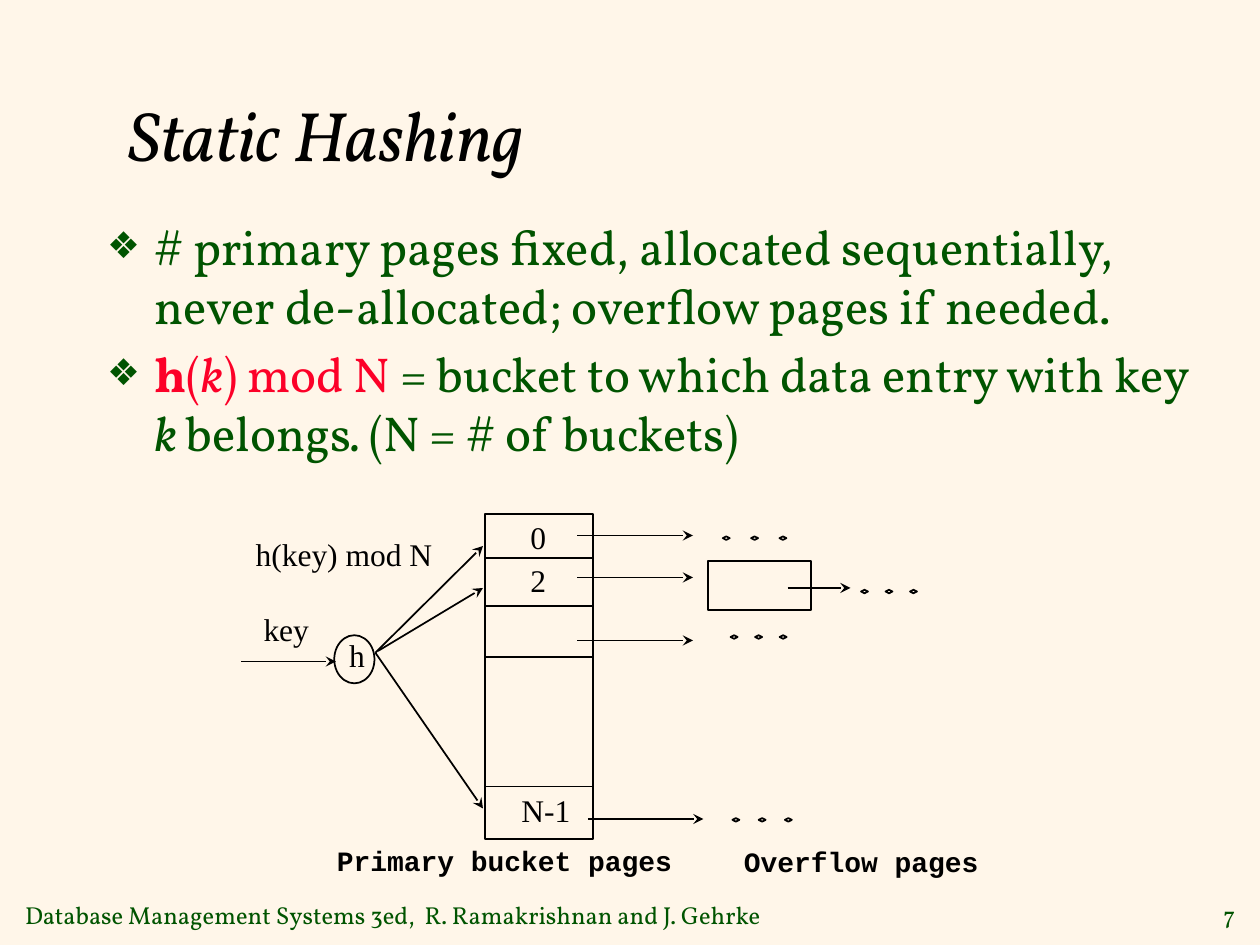
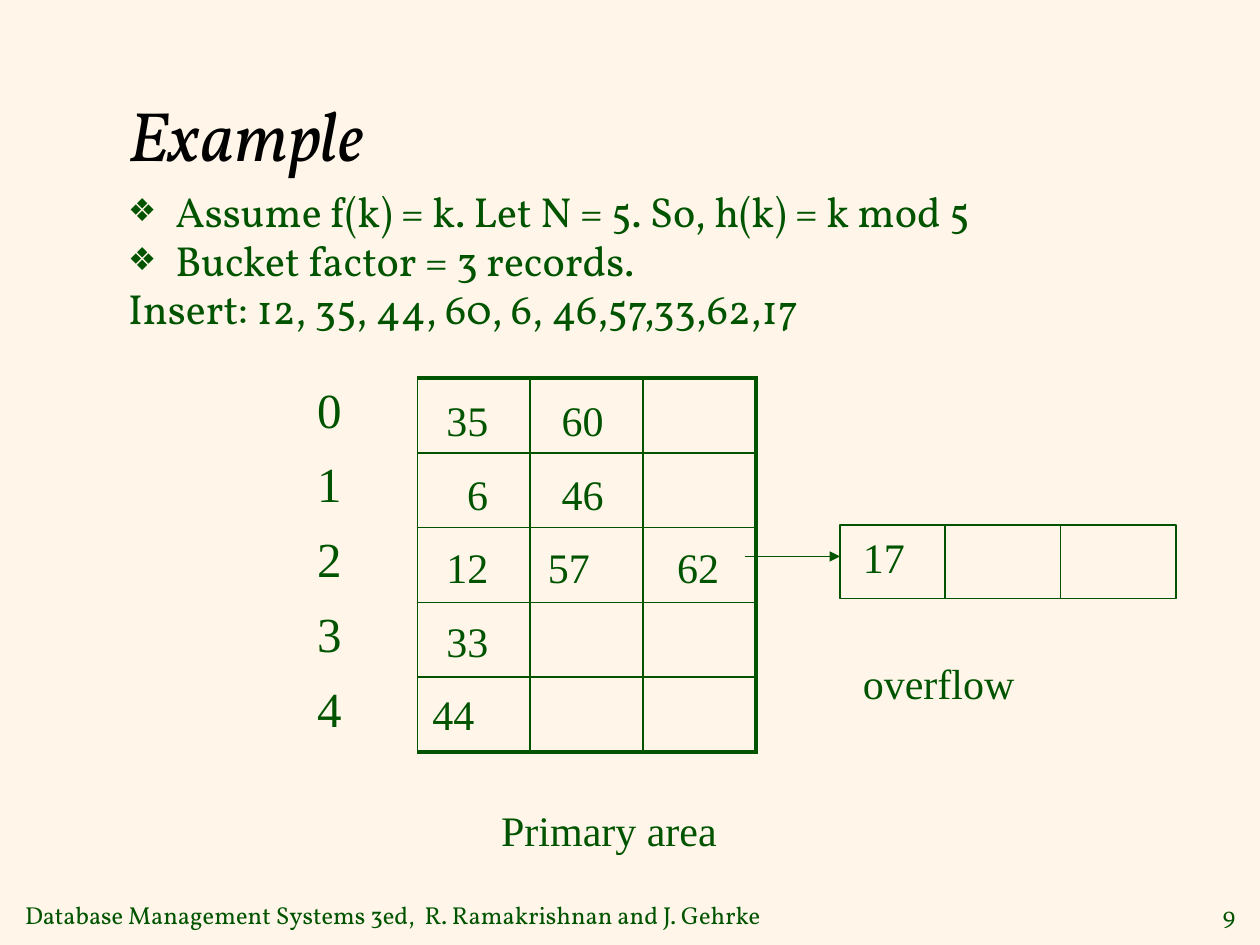
from lxml.etree import SubElement
from pptx import Presentation
from pptx.dml.color import RGBColor
from pptx.enum.shapes import MSO_CONNECTOR, MSO_SHAPE
from pptx.enum.text import MSO_ANCHOR, MSO_AUTO_SIZE, PP_ALIGN
from pptx.oxml.ns import qn
from pptx.util import Pt

COLORS = {"cream": "FFF6E9", "green": "005400", "red": "FC0128", "black": "000000"}
SERIF, DIAGRAM, MONO = "Vollkorn", "Times New Roman", "Courier New"
FOOTER = "Database Management Systems 3ed,  R. Ramakrishnan and J. Gehrke"
PLAIN_TABLE = "{2D5ABB26-0587-4C30-8999-92F81FD0307C}"

TITLE = {"name": SERIF, "size": Pt(40), "italic": True, "color": "black"}
FOOTER_FONT = {"name": SERIF, "size": Pt(14), "color": "green"}
NODE = {"name": DIAGRAM, "size": Pt(18), "color": "black"}
CAPTION = {"name": MONO, "size": Pt(16), "bold": True, "color": "black"}
RECORD = {"name": DIAGRAM, "size": Pt(24), "color": "green"}
BUCKET_NUMBER = {**RECORD, "size": Pt(28)}


def rgb(color):
    return RGBColor.from_string(COLORS[color])


def apply_font(font, values):
    for name, value in values.items():
        if name == "color":
            font.color.rgb = rgb(value)
        else:
            setattr(font, name, value)


def box(left, top, width, height):
    return Pt(left), Pt(top), Pt(width), Pt(height)


def place(shape, bounds):
    for name, value in zip(("left", "top", "width", "height"), box(*bounds)):
        setattr(shape, name, value)


def add_run(paragraph, text, font):
    run = paragraph.add_run()
    run.text = text
    apply_font(run.font, font)


def add_label(slide, text, bounds, font, align=PP_ALIGN.LEFT, anchor=MSO_ANCHOR.TOP):
    frame = slide.shapes.add_textbox(*box(*bounds)).text_frame
    frame.word_wrap = True
    frame.auto_size = MSO_AUTO_SIZE.SHAPE_TO_FIT_TEXT
    frame.vertical_anchor = anchor
    frame.paragraphs[0].alignment = align
    add_run(frame.paragraphs[0], text, font)


def add_outline(slide, preset, bounds, color="black", weight=1):
    outline = slide.shapes.add_shape(preset, *box(*bounds))
    outline.shadow.inherit = False
    outline.fill.background()
    outline.line.color.rgb = rgb(color)
    outline.line.width = Pt(weight)


def add_line(slide, start, end, head=None, color="black", weight=1):
    line = slide.shapes.add_connector(
        MSO_CONNECTOR.STRAIGHT, *(Pt(value) for value in (*start, *end)))
    line.line.color.rgb = rgb(color)
    line.line.width = Pt(weight)
    properties = line._element.spPr
    if head:
        SubElement(properties.find(qn("a:ln")), qn("a:tailEnd"), type=head)
    SubElement(properties, qn("a:effectLst"))


def set_bullet(paragraph, shown):
    """Hang the paragraph by 27 points, with or without a diamond bullet."""
    properties = paragraph._p.get_or_add_pPr()
    properties.set("marL", str(Pt(27)))
    properties.set("indent", str(-Pt(27)))
    if not shown:
        SubElement(properties, qn("a:buNone"))
        return
    bullet_color = SubElement(properties, qn("a:buClr"))
    SubElement(bullet_color, qn("a:srgbClr"), val=COLORS["green"])
    SubElement(properties, qn("a:buSzPct"), val="75000")
    SubElement(properties, qn("a:buChar"), char="❖")


def fill_body(slide, bounds, size, items, line_spacing=1.0):
    """Write items of (bullet shown, [(text, font changes), ...])."""
    body = slide.placeholders[1]
    place(body, bounds)
    frame = body.text_frame
    frame.auto_size = MSO_AUTO_SIZE.NONE
    for index, (bulleted, runs) in enumerate(items):
        paragraph = frame.add_paragraph() if index else frame.paragraphs[0]
        set_bullet(paragraph, bulleted)
        paragraph.line_spacing = line_spacing
        paragraph.space_before = Pt(size * 0.2 if index else 0)
        for text, changes in runs:
            add_run(paragraph, text,
                    {"name": SERIF, "size": Pt(size), "color": "green", **changes})


def add_slide(deck, title, number):
    slide = deck.slides.add_slide(deck.slide_layouts[1])
    place(slide.shapes.title, (66, 33, 612, 87))
    frame = slide.shapes.title.text_frame
    frame.auto_size = MSO_AUTO_SIZE.NONE
    frame.vertical_anchor = MSO_ANCHOR.MIDDLE
    frame.paragraphs[0].alignment = PP_ALIGN.LEFT
    add_run(frame.paragraphs[0], title, TITLE)
    add_label(slide, FOOTER, (7.2, 510.8, 450, 24), FOOTER_FONT,
              anchor=MSO_ANCHOR.MIDDLE)
    add_label(slide, number, (682, 510.8, 31, 24), FOOTER_FONT, PP_ALIGN.RIGHT,
              MSO_ANCHOR.MIDDLE)
    return slide


def add_ellipsis(slide, left, top, pitch):
    for position in range(3):
        add_outline(slide, MSO_SHAPE.DIAMOND, (left + position * pitch, top, 4, 2))


def draw_hash_diagram(slide):
    bucket_left, bucket_right = 277, 339
    add_outline(slide, MSO_SHAPE.RECTANGLE,
                (bucket_left, 293.8, bucket_right - bucket_left, 185.5))
    for divider in (319, 346.5, 375.5, 449.5):
        add_line(slide, (bucket_left, divider), (bucket_right, divider))
    add_outline(slide, MSO_SHAPE.RECTANGLE, (404.5, 320.5, 59, 28))
    add_outline(slide, MSO_SHAPE.OVAL, (191, 363, 23, 27.5))

    for ellipsis in ((413, 306.5, 16.2), (417.5, 363, 14),
                     (492, 337, 14), (418.5, 467.5, 15)):
        add_ellipsis(slide, *ellipsis)

    for text, left, top, width in (
            ("h(key) mod N", 139, 302, 124), ("key", 143.5, 345, 48),
            ("h", 192.5, 360, 28), ("0", 296, 292.5, 28),
            ("2", 296, 317, 28), ("N-1", 290.8, 448.5, 48)):
        add_label(slide, text, (left, top, width, 29), NODE)
    add_label(slide, "Primary bucket pages", (185.5, 478.4, 216, 26), CAPTION)
    add_label(slide, "Overflow pages", (418, 479, 160, 26), CAPTION)

    for start, end in (
            ((138, 378), (192, 378)),
            ((214.5, 373), (276, 312)), ((216, 372), (276, 336)),
            ((214.5, 373), (276, 462)),
            ((330, 306), (396, 306)), ((330, 330), (396, 330)),
            ((330, 366), (396, 366)), ((336, 468), (402, 468)),
            ((450, 336), (486, 336))):
        add_line(slide, start, end, "stealth")


def set_borders(cell, weights):
    """Draw the sides in weights (L, R, T, B); clear the others."""
    properties = cell._tc.get_or_add_tcPr()
    for side in "LRTB":
        weight = weights.get(side, 0)
        border = SubElement(properties, qn(f"a:ln{side}"), w=str(Pt(weight)))
        if weight:
            fill = SubElement(border, qn("a:solidFill"))
            SubElement(fill, qn("a:srgbClr"), val=COLORS["green"])
        else:
            SubElement(border, qn("a:noFill"))


def add_bucket_table(slide, rows=5, columns=4):
    thin, thick = 1, 2.25
    table = slide.shapes.add_table(rows, columns, *box(174, 216, 258, 213.75)).table
    table.first_row = table.horz_banding = False
    table._tbl.tblPr.find(qn("a:tableStyleId")).text = PLAIN_TABLE
    for column in table.columns:
        column.width = Pt(64.5)
    for row_index, row in enumerate(table.rows):
        row.height = Pt(42.75)
        for column_index, cell in enumerate(row.cells):
            if column_index == 0:
                add_run(cell.text_frame.paragraphs[0], str(row_index), BUCKET_NUMBER)
                set_borders(cell, {"R": thin})
            else:
                set_borders(cell, {
                    "L": thin,
                    "R": thick if column_index == columns - 1 else thin,
                    "T": thick if row_index == 0 else thin,
                    "B": thick if row_index == rows - 1 else thin})
            cell.fill.background()


def add_records(slide):
    left, center = PP_ALIGN.LEFT, PP_ALIGN.CENTER
    for value, bucket, slot, align, shift in (
            ("35", 0, 0, center, 0), ("60", 0, 1, center, 0),
            ("6", 1, 0, center, 6), ("46", 1, 1, center, 0),
            ("12", 2, 0, center, 0), ("57", 2, 1, left, 0), ("62", 2, 2, center, 0),
            ("33", 3, 0, center, 0), ("44", 4, 0, left, 0)):
        bounds = (240 + 66 * slot + shift, 222 + 42 * bucket, 54, 36)
        add_label(slide, value, bounds, RECORD, align)


def add_overflow_page(slide):
    top, bottom = 300, 342
    pen = {"color": "green", "weight": 0.75}
    add_outline(slide, MSO_SHAPE.RECTANGLE, (480, top, 192, bottom - top), **pen)
    for divider in (540, 606):
        add_line(slide, (divider, top), (divider, bottom), **pen)
    add_line(slide, (426, 318), (480, 318), "triangle", **pen)
    add_label(slide, "17", (486, top, 54, 36), RECORD)


def build_static_hashing(deck):
    slide = add_slide(deck, "Static Hashing", "7")
    red, italic = {"color": "red"}, {"italic": True}
    fill_body(slide, (54, 120, 636, 378), 28, [
        (True, [("# primary pages fixed, allocated sequentially, "
                 "never de-allocated; overflow pages if needed.", {})]),
        (True, [("h", {**red, "bold": True}), ("(", red), ("k", {**red, **italic}),
                (") mod N ", red), ("= bucket to which data entry with key", {}),
                (" k ", italic), ("belongs", {}), (". ", italic),
                ("(N = # of buckets)", {})])])
    draw_hash_diagram(slide)


def build_example(deck):
    slide = add_slide(deck, "Example", "9")
    fill_body(slide, (66, 108, 612, 369), 24, [
        (True, [("Assume f(k) = k. Let N = 5. So, h(k) = k mod 5", {})]),
        (True, [("Bucket factor = 3 records.", {})]),
        (False, [("Insert: 12, 35, 44, 60, 6, 46,57,33,62,17", {})])], 0.8)
    add_bucket_table(slide)
    add_records(slide)
    add_overflow_page(slide)
    add_label(slide, "Primary area", (222, 456, 252, 36), RECORD, PP_ALIGN.CENTER)
    add_label(slide, "overflow", (486, 372, 174, 36), RECORD)


def main():
    deck = Presentation()
    deck.slide_width, deck.slide_height = Pt(720), Pt(540)
    background = deck.slide_master.background.fill
    background.solid()
    background.fore_color.rgb = rgb("cream")
    build_static_hashing(deck)
    build_example(deck)
    deck.save("out.pptx")


if __name__ == "__main__":
    main()
